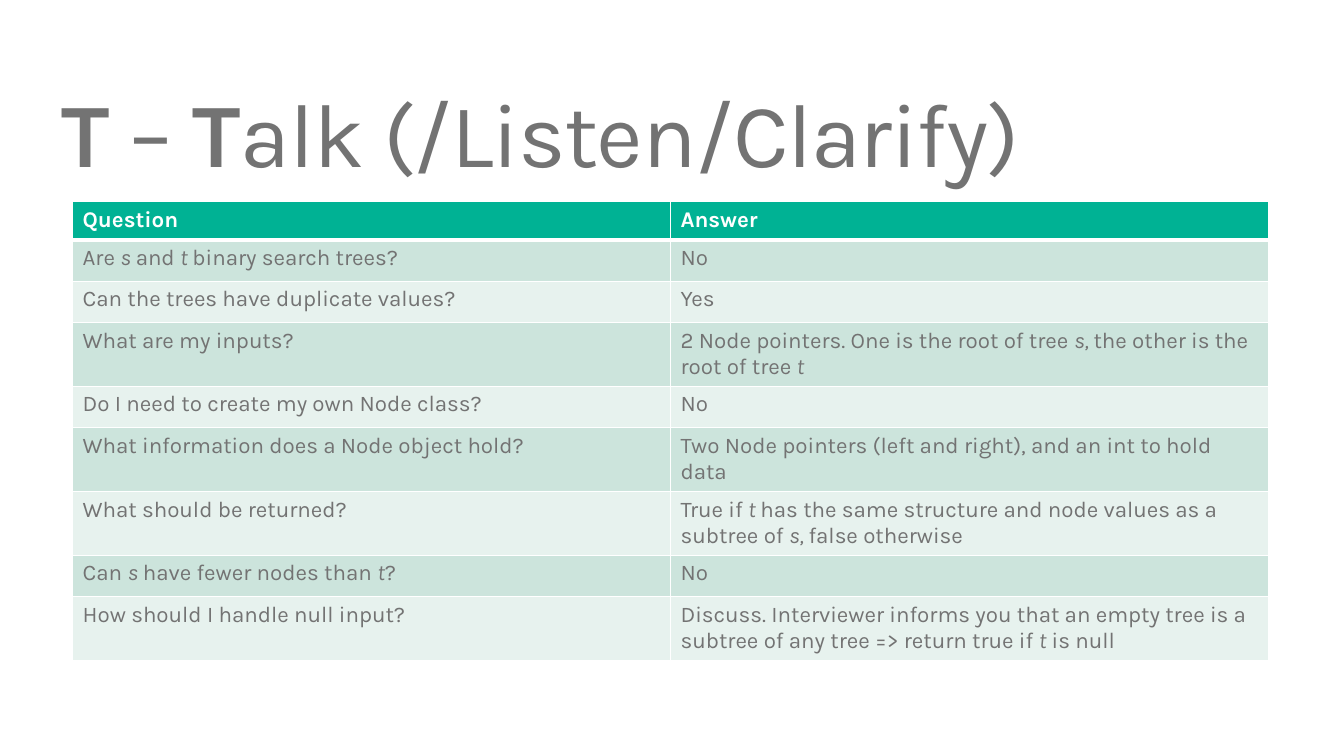
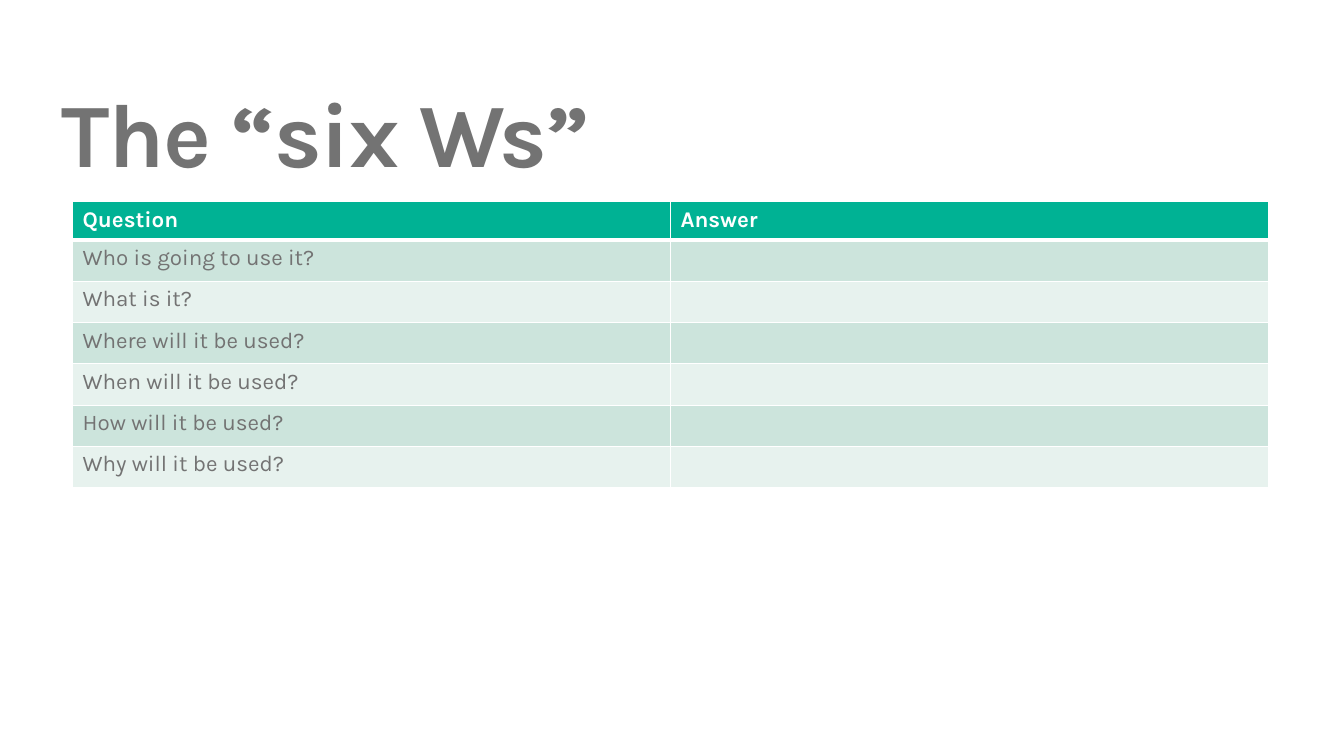
from lxml.etree import SubElement as Sub
from pptx import Presentation
from pptx.dml.color import RGBColor as Rgb
from pptx.enum.text import MSO_ANCHOR as Anchor
from pptx.oxml.ns import qn
from pptx.util import Inches, Pt

GREY, WHITE, GREEN = "737373", "FFFFFF", "00B294"
BANDS = ("CCE4DC", "E7F2EE")
FACE = {"name": "Karla"}
TITLE = {**FACE, "size": Pt(64.7)}
HEAD = {**FACE, "size": Pt(16), "bold": True}
BODY = {**HEAD, "bold": False}
FRAME = {
    "margin_left": Inches(0.16),
    "margin_right": Inches(0.16),
    "margin_top": Inches(0.08),
    "margin_bottom": Inches(0.08),
    "vertical_anchor": Anchor.MIDDLE,
    "word_wrap": True,
}
FLAGS = {"first_row": False, "horz_banding": False}

TALK = [
    ("Are *s *and *t *binary search trees?", "No"),
    ("Can the trees have duplicate values?", "Yes"),
    ("What are my inputs?",
     "2 Node pointers. One is the root of tree *s, *the other is the root of tree *t*"),
    ("Do I need to create my own Node class?", "No"),
    ("What information does a Node object hold?",
     "Two Node pointers (left and right), and an int to hold data"),
    ("What should be returned?",
     "True if *t *has the same structure and node values as a subtree of *s, *false otherwise"),
    ("Can *s *have fewer nodes than *t*?", "No"),
    ("How should I handle null input?",
     "Discuss. Interviewer informs you that an empty tree is a subtree of any tree"
     " => return true if *t* is null"),
]
SIX = [
    ("Who is going to use it?", ""),
    ("What is it?", ""),
    ("Where will it be used?", ""),
    ("When will it be used?", ""),
    ("How will it be used?", ""),
    ("Why will it be used?", ""),
]


def color(code):
    return Rgb.from_string(code)


def apply(item, values):
    for name, value in values.items():
        setattr(item, name, value)


def write(para, text, style, code, accent):
    for pos, part in enumerate(text.split("*")):
        if part:
            run = para.add_run()
            run.text = part
            apply(run.font, style)
            run.font.color.rgb = color(code)
            if pos % 2:
                setattr(run.font, accent, True)


def add_title(slide, text):
    box = slide.shapes.add_textbox(Inches(0.45), Inches(0.75), Inches(11.53), Inches(1.25))
    apply(box.text_frame, FRAME)
    para = box.text_frame.paragraphs[0]
    para.line_spacing = 0.9
    write(para, text, {**TITLE, "bold": False}, GREY, "bold")
    for run in para.runs:
        run.font._element.set("spc", "-100")


def add_edges(cell, row):
    props = cell._tc.get_or_add_tcPr()
    widths = {"L": 1, "R": 1, "T": 3 if row == 1 else 1, "B": 3 if row == 0 else 1}
    for side, width in widths.items():
        line = Sub(props, qn(f"a:ln{side}"), w=str(Pt(width)))
        Sub(Sub(line, qn("a:solidFill")), qn("a:srgbClr"), val=WHITE)


def fill_cell(cell, text, row):
    add_edges(cell, row)
    cell.fill.solid()
    cell.fill.fore_color.rgb = color(BANDS[(row - 1) % 2] if row else GREEN)
    para = cell.text_frame.paragraphs[0]
    style, code = (BODY, GREY) if row else (HEAD, WHITE)
    apply(para.font, style)
    write(para, text, style, code, "italic")


def add_grid(slide, pairs):
    rows = [("Question", "Answer"), *pairs]
    high = 0.38 + 0.41 * len(pairs)
    grid = slide.shapes.add_table(
        len(rows), 2, Inches(0.72), Inches(2), Inches(11.86), Inches(high)).table
    apply(grid, FLAGS)
    for row, texts in enumerate(rows):
        grid.rows[row].height = Inches(0.41 if row else 0.38)
        for col, text in enumerate(texts):
            fill_cell(grid.cell(row, col), text, row)


def main():
    deck = Presentation()
    apply(deck, {"slide_width": Inches(13.33), "slide_height": Inches(7.5)})
    for title, pairs in (("*T* – *T*alk (/Listen/Clarify)", TALK), ("*The “six Ws”*", SIX)):
        slide = deck.slides.add_slide(deck.slide_layouts[6])
        add_title(slide, title)
        add_grid(slide, pairs)
    deck.save("out.pptx")


if __name__ == "__main__":
    main()
